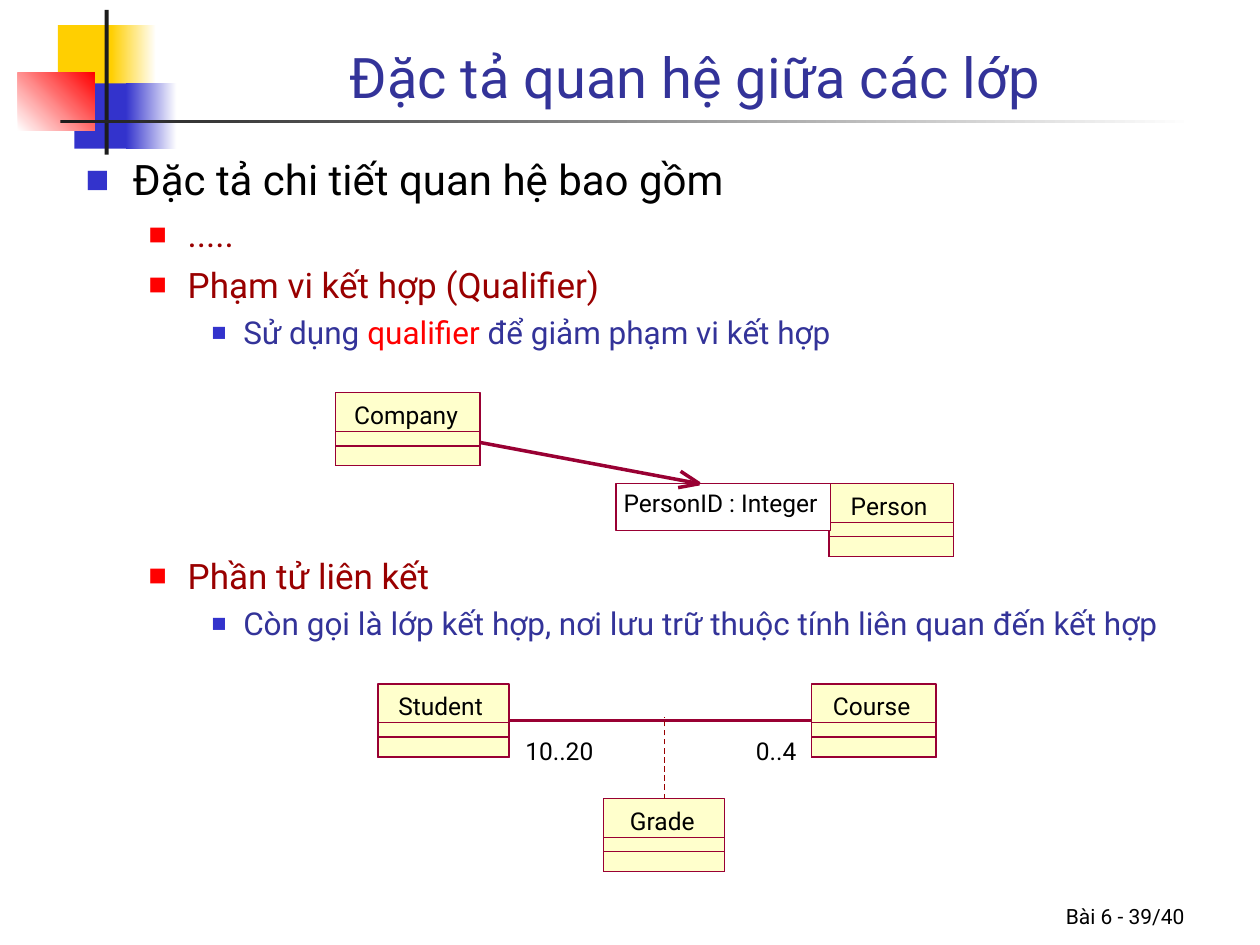
from lxml import etree
from pptx import Presentation
from pptx import util as u
from pptx.dml.color import RGBColor
from pptx.enum import dml, shapes, text
from pptx.oxml.ns import qn

# Content; all lengths are in cm
FONT = "Roboto"
HEX = {
    "gold": "FFCF01", "blue": "3333CC", "red": "FF0000", "white": "FFFFFF",
    "dark": "1C1C1C", "navy": "333399", "black": "000000", "brown": "990000",
    "wine": "990033", "cream": "FFFFCC",
}
TITLE = "Đặc tả quan hệ giữa các lớp"
FOOT = "Bài 6 - 39/40"
# level, space before in points, runs with an optional own colour
BODY = [
    (0, 6, [("Đặc tả chi tiết quan hệ bao gồm", None)]),
    (1, 5, [(".....", None)]),
    (1, 5, [("Phạm vi kết hợp (Qualifier)", None)]),
    (2, 4.5, [("Sử dụng ", None), ("qualifier", "red"),
              (" để giảm phạm vi kết hợp", None)]),
    (1, 116, [("Phần tử liên kết", None)]),
    (2, 4.5, [("Còn gọi là lớp kết hợp, nơi lưu trữ thuộc tính liên quan "
               "đến kết hợp", None)]),
]
# size, colour, indent, hanging, bullet colour, bullet percent
LEVELS = [
    (24, "black", 0.95, 0.95, "blue", 60),
    (20, "brown", 2.06, 0.79, "red", 55),
    (18, "navy", 3.18, 0.64, "blue", 50),
]
# left, top, width, height, fill colours, angle
DECOR = [
    (1.17, 0.51, 1.22, 1.32, ["gold"], 0),
    (2.24, 0.51, 0.91, 1.32, ["gold", "white"], 0),
    (1.5, 1.68, 1.17, 1.32, ["blue"], 0),
    (2.54, 1.68, 1.02, 1.32, ["blue", "white"], 0),
    (0.36, 1.47, 1.55, 1.17, ["white", "red"], 45),
    (2.11, 0.2, 0.08, 2.92, ["dark"], 0),
    (1.22, 2.41, 22.86, 0.08, ["dark", "white"], 0),
]
# name, left, top, width, name offset, name width
CLASSES = [
    ("Company", 6.76, 7.92, 2.92, 0.38, 2.21),
    ("Person", 16.71, 9.75, 2.51, 0.44, 1.63),
    ("Student", 7.62, 13.79, 2.64, 0.41, 1.83),
    ("Course", 16.36, 13.79, 2.51, 0.43, 1.65),
    ("Grade", 12.17, 16.1, 2.44, 0.53, 1.42),
]
TALL, BANDS = 1.47, (0.78, 1.07)
QUAL = (12.42, 9.75, 4.32, 0.94)
LABELS = [
    ("PersonID : Integer", 12.57, 9.83, 4.27),
    ("0..4", 15.24, 14.83, 0.84),
    ("10..20", 10.59, 14.83, 1.4),
]
TIP = (14.1, 9.75)
STROKES = [(9.68, 8.92), (13.72, 9.5), (13.67, 9.83)]

prs = Presentation()
prs.slide_width, prs.slide_height = u.Cm(25.4), u.Cm(19.05)
slide = prs.slides.add_slide(prs.slide_layouts[1])
tree = slide.shapes


def rgb(name):
    return RGBColor.from_string(HEX[name])


def style(para, size, color):
    font = para.font
    font.name, font.size, font.color.rgb = FONT, u.Pt(size), rgb(color)


def place(item, *box):
    item.left, item.top, item.width, item.height = map(u.Cm, box)


def rect(x, y, w, h, fills=(), angle=0, line=None):
    box = tree.add_shape(shapes.MSO_SHAPE.RECTANGLE, *map(u.Cm, (x, y, w, h)))
    box.shadow.inherit = False
    if len(fills) == 2:
        box.fill.gradient()
        box.fill.gradient_angle = angle
        for stop, name in zip(box.fill.gradient_stops, fills):
            stop.color.rgb = rgb(name)
    elif fills:
        box.fill.solid()
        box.fill.fore_color.rgb = rgb(fills[0])
    else:
        box.fill.background()
    if line:
        box.line.color.rgb = rgb(line)
        box.line.width = u.Pt(0)
    else:
        box.line.fill.background()
    return box


def label(words, x, y, w, h=0.58):
    frame = tree.add_textbox(*map(u.Cm, (x, y, w, h))).text_frame
    frame.margin_left = frame.margin_right = 0
    frame.margin_top = frame.margin_bottom = 0
    frame.word_wrap = False
    frame.text = words
    style(frame.paragraphs[0], 14, "black")


def link(start, end, color="wine", width=0):
    line = tree.add_connector(shapes.MSO_CONNECTOR.STRAIGHT,
                              *map(u.Cm, start + end))
    line.line.color.rgb = rgb(color)
    line.line.width = u.Pt(width)
    etree.SubElement(line._element.spPr, qn("a:effectLst"))
    return line


def bullet(para, left, hang, color, size):
    props = para._p.get_or_add_pPr()
    props.set("marL", str(u.Cm(left)))
    props.set("indent", str(-u.Cm(hang)))
    tint = etree.SubElement(props, qn("a:buClr"))
    etree.SubElement(tint, qn("a:srgbClr"), val=HEX[color])
    etree.SubElement(props, qn("a:buSzPct"), val=str(size * 1000))
    etree.SubElement(props, qn("a:buFont"), typeface=FONT)
    etree.SubElement(props, qn("a:buChar"), char="■")


# Corner ornament and rule
for *box, fills, angle in DECOR:
    rect(*box, fills, angle)

# Footer
foot = tree.add_textbox(*map(u.Cm, (18.85, 17.58, 5.28, 1.27))).text_frame
foot.word_wrap = True
foot.vertical_anchor = text.MSO_ANCHOR.BOTTOM
foot.text = FOOT
foot.paragraphs[0].alignment = text.PP_ALIGN.RIGHT
style(foot.paragraphs[0], 12, "black")

# Title
head = tree.title
place(head, 3.2, 0.2, 21.64, 2.13)
frame = head.text_frame
frame.text = TITLE
frame.auto_size = text.MSO_AUTO_SIZE.NONE
frame.vertical_anchor = text.MSO_ANCHOR.BOTTOM
frame.paragraphs[0].alignment = text.PP_ALIGN.CENTER
style(frame.paragraphs[0], 32, "navy")

# Bulleted list
body = slide.placeholders[1]
place(body, 1.47, 2.97, 23.39, 15.44)
frame = body.text_frame
frame.auto_size = text.MSO_AUTO_SIZE.NONE
for i, (level, gap, runs) in enumerate(BODY):
    para = frame.add_paragraph() if i else frame.paragraphs[0]
    size, color, *mark = LEVELS[level]
    para.level = level
    bullet(para, *mark)
    para.space_before = u.Pt(gap)
    style(para, size, color)
    for words, tint in runs:
        run = para.add_run()
        run.text = words
        if tint:
            run.font.color.rgb = rgb(tint)

# Class boxes, each with two lower bands
boxes = {}
for name, x, y, w, shift, wide in CLASSES:
    boxes[name] = rect(x, y, w, TALL, ["cream"], line="wine")
    label(name, x + shift, y + 0.14, wide)
    for drop in BANDS:
        rect(x, y + drop, w, TALL - drop, line="wine")

# Qualifier box, labels and open arrow
rect(*QUAL, ["white"], line="wine")
for item in LABELS:
    label(*item)
for start in STROKES:
    link(start, TIP)

# Association and its class
pair = link((10.26, 14.52), (16.36, 14.52))
pair.begin_connect(boxes["Student"], 3)
pair.end_connect(boxes["Course"], 1)
dash = link((13.39, 16.1), (13.39, 14.45), "brown", 0.75)
dash.begin_connect(boxes["Grade"], 0)
dash.line.dash_style = dml.MSO_LINE.DASH

prs.save("out.pptx")
